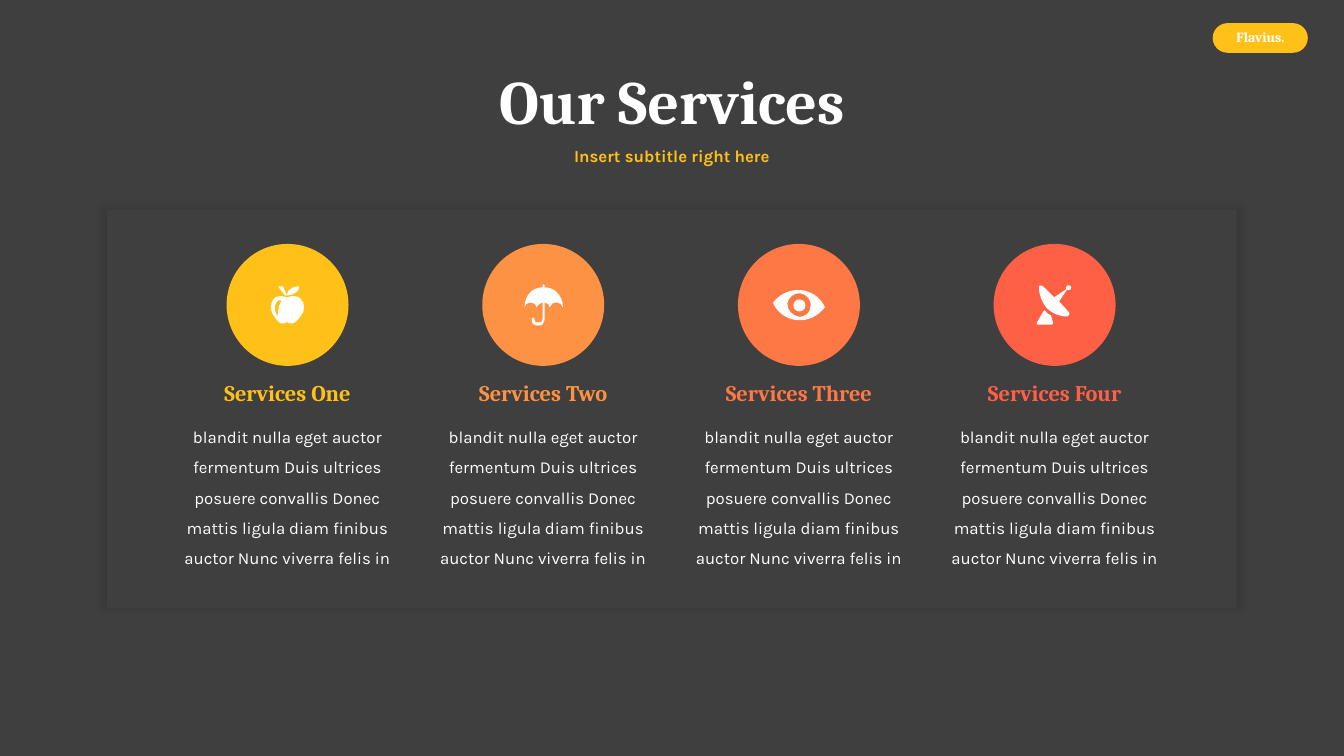
from dataclasses import dataclass
from lxml.etree import SubElement
from pptx import Presentation
from pptx.dml.color import RGBColor
from pptx.enum.shapes import MSO_SHAPE
from pptx.enum.text import MSO_ANCHOR, PP_ALIGN
from pptx.oxml.ns import qn
from pptx.shapes.autoshape import Shape
from pptx.shapes.shapetree import GroupShapes, SlideShapes
from pptx.util import Emu, Pt

# Grid of square cells: 160 columns by 90 rows
CELL = 76200
COLS, ROWS = 160, 90
ICON = 0.12  # one icon unit, in cells


@dataclass(frozen=True)
class Theme:
    back: str = "3F3F3F"
    white: str = "FFFFFF"
    gold: str = "FFC118"
    amber: str = "FD9144"
    coral: str = "FD7845"
    red: str = "FE6046"
    serif: str = "Cambria"
    sans: str = "Karla"
    title: int = 44
    head: int = 16
    body: int = 12
    tag: int = 10


@dataclass(frozen=True)
class Box:
    col: float
    row: float
    wide: float
    high: float

    def emu(self) -> list[Emu]:
        return [Emu(round(n * CELL)) for n in (self.col, self.row, self.wide, self.high)]


@dataclass(frozen=True)
class Service:
    name: str
    color: str
    icon: tuple[str, ...]
    dot: bool = False


# Icon outlines, in units from the top left of the circle
APPLE = (
    "M 60 53 C 48 49 44 56 44 63 C 44 70 52 79 55 79 C 60 79 60 77 60 77 "
    "C 60 77 60 79 65 79 C 68 79 77 70 77 63 C 77 56 72 49 60 53 "
    "M 51 72 C 44 63 51 56 51 56 L 55 56 C 55 56 51 60 51 72",
    "M 60 51 C 58 47 56 42 56 42 L 51 42 L 58 51",
    "M 72 42 C 72 42 60 42 60 51 C 60 51 72 51 72 42",
)
BROLLY = (
    "M 62 43 L 62 41 C 62 41 61 40 61 40 C 60 40 60 41 60 41 L 60 43 "
    "C 49 43 42 52 42 62 L 42 63 C 42 60 45 58 48 58 C 51 58 54 60 54 63 "
    "C 55 60 57 59 60 58 L 60 72 C 60 78 58 78 56 78 C 52 78 52 77 52 75 "
    "C 52 74 51 73 51 73 C 50 73 49 74 49 75 C 49 77 49 81 56 81 "
    "C 59 81 62 80 62 72 L 62 58 C 65 59 67 60 67 63 C 68 60 70 58 74 58 "
    "C 77 58 79 60 80 63 L 80 62 C 80 52 72 43 62 43",
)
EYE = (
    "M 35 58 L 35 59 C 45 80 73 81 86 63 L 86 62 C 76 42 49 40 35 58 "
    "M 60 72 C 54 71 49 66 49 59 C 50 53 56 48 62 49 C 68 50 73 55 72 62 "
    "C 72 68 67 73 60 72",
)
DISH = (
    "M 74 46 C 76 46 77 45 77 43 C 77 42 76 41 74 41 C 73 41 72 42 72 43 "
    "C 72 44 72 45 72 45 L 60 53 L 49 42 C 48 41 47 41 46 41 C 45 41 45 43 45 43 "
    "C 45 51 48 58 53 64 C 58 69 65 72 73 72 C 74 72 74 71 75 70 "
    "C 76 69 75 68 74 67 L 65 57 L 73 45 C 73 46 74 46 74 46",
    "M 57 71 C 54 70 52 68 51 66 L 50 66 L 43 78 C 43 79 43 79 43 80 "
    "L 58 80 C 59 80 59 79 59 78",
)

LOOK = Theme()
BLURB = ("blandit nulla eget auctor fermentum Duis ultrices posuere convallis "
         "Donec mattis ligula diam finibus auctor Nunc viverra felis in")
ITEMS = (
    Service("Services One", LOOK.gold, APPLE),
    Service("Services Two", LOOK.amber, BROLLY),
    Service("Services Three", LOOK.coral, EYE, dot=True),
    Service("Services Four", LOOK.red, DISH),
)
FIRST, PITCH = 34.23, 30.44  # centre of the first service, step to the next
DISC = 14.52
TOP = 29.04


def paint(shape: Shape, color: str) -> None:
    shape.shadow.inherit = False
    shape.fill.solid()
    shape.fill.fore_color.rgb = RGBColor.from_string(color)
    shape.line.fill.background()


def block(shapes: SlideShapes | GroupShapes, kind: MSO_SHAPE, box: Box, color: str) -> Shape:
    shape = shapes.add_shape(kind, *box.emu())
    paint(shape, color)
    return shape


def label(shapes: SlideShapes, box: Box, text: str, color: str, font: dict,
          lead: float = 1.0, anchor: MSO_ANCHOR = MSO_ANCHOR.TOP) -> None:
    frame = shapes.add_textbox(*box.emu()).text_frame
    para = frame.paragraphs[0]
    run = para.add_run()
    run.text = text
    run.font.color.rgb = RGBColor.from_string(color)
    for part, form in (
        (frame, {"word_wrap": True, "vertical_anchor": anchor}),
        (para, {"alignment": PP_ALIGN.CENTER, "line_spacing": lead}),
        (run.font, font),
    ):
        for key, value in form.items():
            setattr(part, key, value)


def draw(shapes: SlideShapes | GroupShapes, outline: str, col: float, row: float) -> None:
    """Build an outline from its points, then bend each C step into a curve."""
    pen = None
    verbs = []
    for ring in outline.split("M")[1:]:
        words = ring.split()
        nums = [int(w) for w in words if w not in "LC"]
        pts = [(round((col + x * ICON) * CELL), round((row + y * ICON) * CELL))
               for x, y in zip(nums[::2], nums[1::2])]
        verbs += ["M", *(w for w in words if w in "LC"), "Z"]
        if pen is None:
            pen = shapes.build_freeform(*pts[0], scale=1.0)
        else:
            pen.move_to(*pts[0])
        pen.add_line_segments(pts[1:], close=True)
    shape = pen.convert_to_shape()
    paint(shape, LOOK.white)
    route = next(shape._element.iter(qn("a:path")))
    steps = iter(list(route))
    for verb in verbs:
        step = next(steps)
        if verb == "C":
            curve = SubElement(route, qn("a:cubicBezTo"))
            step.addprevious(curve)
            for old in (step, next(steps), next(steps)):
                curve.append(old[0])
                route.remove(old)


def glow(shape: Shape) -> None:
    """Give the card a faint shadow on all sides."""
    effect = shape._element.spPr.find(qn("a:effectLst"))
    cast = SubElement(effect, qn("a:outerShdw"), blurRad=str(Pt(5)),
                      sx="101000", sy="101000", algn="ctr", rotWithShape="0")
    tint = SubElement(cast, qn("a:srgbClr"), val="000000")
    SubElement(tint, qn("a:alpha"), val="9000")


def main() -> None:
    deck = Presentation()
    deck.slide_width, deck.slide_height = Emu(COLS * CELL), Emu(ROWS * CELL)
    slide = deck.slides.add_slide(deck.slide_layouts[6])
    slide.background.fill.solid()
    slide.background.fill.fore_color.rgb = RGBColor.from_string(LOOK.back)
    shapes = slide.shapes

    def serif(size: int) -> dict:
        return {"name": LOOK.serif, "size": Pt(size), "bold": True}

    sans = {"name": LOOK.sans, "size": Pt(LOOK.body)}

    # Name tag
    tag = block(shapes, MSO_SHAPE.ROUNDED_RECTANGLE, Box(144.46, 2.84, 11.16, 3.36), LOOK.gold)
    tag.adjustments[0] = 0.5
    tag.line.color.rgb = RGBColor.from_string(LOOK.gold)
    tag.line.width = Pt(1)
    label(shapes, Box(145.5, 2.86, 9.12, 3.24), "Flavius.", LOOK.white, serif(LOOK.tag))

    # Card and titles
    glow(block(shapes, MSO_SHAPE.RECTANGLE, Box(12.72, 24.96, 134.52, 47.4), LOOK.back))
    label(shapes, Box(35, 6.24, 90, 12.36), "Our Services", LOOK.white,
          serif(LOOK.title), 0.9, MSO_ANCHOR.MIDDLE)
    label(shapes, Box(35, 16.4, 90, 4.56), "Insert subtitle right here", LOOK.gold,
          sans | {"bold": True}, 0.9, MSO_ANCHOR.MIDDLE)

    # Services
    mids = [FIRST + i * PITCH for i in range(len(ITEMS))]
    for mid, item in zip(mids, ITEMS):
        block(shapes, MSO_SHAPE.OVAL, Box(mid - DISC / 2, TOP, DISC, DISC), item.color)
        label(shapes, Box(mid - 14.05, 49.02, 28.08, 18.96), BLURB, LOOK.white, sans, 1.5)
        label(shapes, Box(mid - 11.7, 44.58, 23.4, 4.44), item.name, item.color, serif(LOOK.head))

    # Icons
    for mid, item in zip(mids, ITEMS):
        left = mid - DISC / 2
        many = item.dot or len(item.icon) > 1
        home = shapes.add_group_shape().shapes if many else shapes
        for outline in item.icon:
            draw(home, outline, left, TOP)
        if item.dot:
            side = 12 * ICON
            spot = 55 * ICON
            block(home, MSO_SHAPE.OVAL, Box(left + spot, TOP + spot, side, side), LOOK.white)

    deck.save("out.pptx")


if __name__ == "__main__":
    main()
